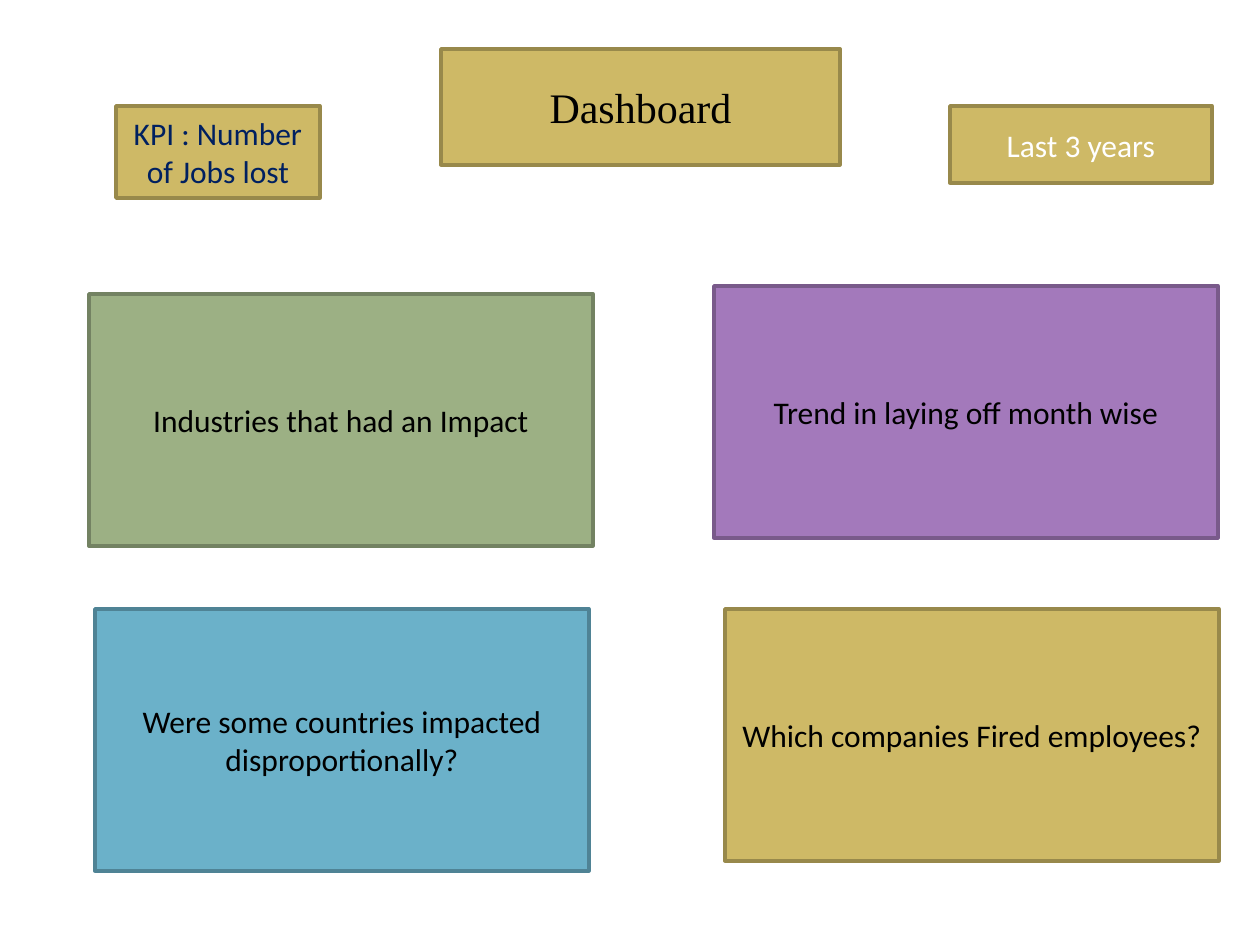
from dataclasses import dataclass

from pptx import Presentation
from pptx import util as u
from pptx.dml.color import RGBColor
from pptx.enum import shapes, text

PX = u.Inches(1) // 126  # EMU in one px

GOLD = ("CEB966", "98894B")
GREEN = ("9CB084", "738262")
PURPLE = ("A379BB", "795A8A")
BLUE = ("6BB1C9", "4F8395")


@dataclass
class Box:
    label: str
    left: int
    top: int
    width: int
    height: int
    colours: tuple[str, str]  # fill, line
    ink: str = "000000"
    font: str = "Calibri"
    size: int = 18


BOXES = [
    Box("Last 3 years", 950, 106, 262, 77, GOLD, ink="FFFFFF"),
    Box("Industries that had an Impact", 89, 294, 504, 252, GREEN),
    Box("Trend in laying off month wise", 714, 286, 504, 252, PURPLE),
    Box("Were some countries impacted disproportionally?",
        95, 609, 494, 262, BLUE),
    Box("Which companies Fired employees?", 725, 609, 494, 252, GOLD),
    Box("KPI : Number of Jobs lost", 116, 106, 204, 92, GOLD, ink="002060"),
    Box("Dashboard", 441, 49, 399, 116, GOLD,
        font="Times New Roman", size=24),
]


def rgb(colour: str) -> RGBColor:
    return RGBColor.from_string(colour)


def draw_box(slide, box: Box) -> None:
    edges = (v * PX for v in (box.left, box.top, box.width, box.height))
    sp = slide.shapes.add_shape(shapes.MSO_SHAPE.RECTANGLE, *edges)
    sp.shadow.inherit = False
    fill, line = box.colours
    sp.fill.solid()
    sp.fill.fore_color.rgb = rgb(fill)
    sp.line.color.rgb = rgb(line)
    sp.line.width = u.Pt(2)

    tf = sp.text_frame
    tf.word_wrap = True
    tf.vertical_anchor = text.MSO_ANCHOR.MIDDLE
    p = tf.paragraphs[0]
    p.alignment = text.PP_ALIGN.CENTER
    r = p.add_run()
    r.text = box.label
    r.font.name = box.font
    r.font.size = u.Pt(box.size)
    r.font.color.rgb = rgb(box.ink)


def main() -> None:
    prs = Presentation()
    prs.slide_width = 1260 * PX
    prs.slide_height = 945 * PX
    slide = prs.slides.add_slide(prs.slide_layouts[6])
    for box in BOXES:
        draw_box(slide, box)
    prs.save("out.pptx")


if __name__ == "__main__":
    main()
